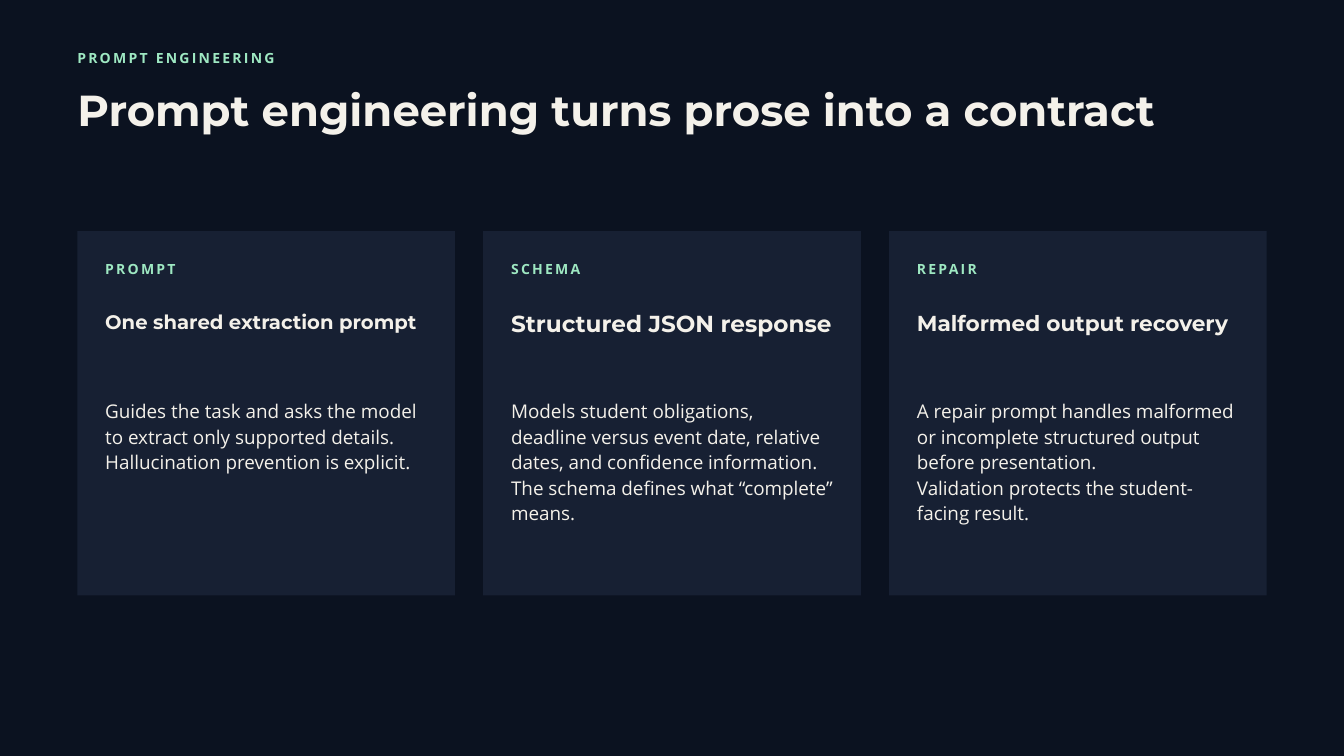
from pptx import Presentation
from pptx.dml.color import RGBColor
from pptx.enum.shapes import MSO_SHAPE
from pptx.enum.text import MSO_ANCHOR, MSO_AUTO_SIZE, PP_ALIGN
from pptx.util import Inches, Pt

BACKGROUND, CARD, MINT, CREAM = "0B1220", "172033", "9EE8C2", "F4F1EA"
HEADING_FONT, BODY_FONT = "Montserrat", "Open Sans"

# Label, heading, heading size, heading line spacing, heading top, paragraphs
CARDS = [
    ("PROMPT", "One shared extraction prompt", 21, 29.4, 1.11,
     ["Guides the task and asks the model to extract only supported details.",
      "Hallucination prevention is explicit."]),
    ("SCHEMA", "Structured JSON response", 24.8, 34.6, 1.1,
     ["Models student obligations, deadline versus event date, relative dates, "
      "and confidence information.",
      "The schema defines what “complete” means."]),
    ("REPAIR", "Malformed output recovery", 23.2, 32.5, 1.1,
     ["A repair prompt handles malformed or incomplete structured output "
      "before presentation.",
      "Validation protects the student-facing result."]),
]


def color(value):
    return RGBColor.from_string(value)


def set_text(shape, lines, font, size, line_spacing, fill, bold=False, tracking=None):
    tf = shape.text_frame
    tf.margin_left = tf.margin_top = tf.margin_right = tf.margin_bottom = 0
    tf.word_wrap = True
    tf.auto_size = MSO_AUTO_SIZE.NONE
    tf.vertical_anchor = MSO_ANCHOR.TOP
    for i, line in enumerate(lines):
        p = tf.paragraphs[0] if i == 0 else tf.add_paragraph()
        p.alignment = PP_ALIGN.LEFT
        p.line_spacing = Pt(line_spacing)
        p.font.name = font
        p.font.size = Pt(size)
        p.font.bold = bold
        p.font.color.rgb = color(fill)
        r = p.add_run()
        r.text = line
        if tracking:
            r._r.get_or_add_rPr().set("spc", str(round(tracking * 100)))


def add_text(shapes, left, top, width, height, lines, *style, **options):
    box = shapes.add_textbox(Inches(left), Inches(top), Inches(width), Inches(height))
    set_text(box, lines, *style, **options)


def add_label(shapes, left, top, width, text):
    add_text(shapes, left, top, width, 0.28, [text], BODY_FONT, 15, 21, MINT,
             bold=True, tracking=2.4)


def add_header(s, left, top, width):
    add_label(s.shapes, left, top, width, "PROMPT ENGINEERING")
    title = s.shapes.title
    title.left, title.top = Inches(left), Inches(top + 0.61)
    title.width, title.height = Inches(width), Inches(0.7)
    set_text(title, ["Prompt engineering turns prose into a contract"],
             HEADING_FONT, 46.5, 50.2, CREAM, bold=True)


def add_card(s, left, top, width, height, card):
    label, heading, size, spacing, heading_top, body = card
    shapes = s.shapes.add_group_shape().shapes
    # Panel
    panel = shapes.add_shape(MSO_SHAPE.RECTANGLE, Inches(left), Inches(top),
                             Inches(width), Inches(height))
    panel.shadow.inherit = False
    panel.fill.solid()
    panel.fill.fore_color.rgb = color(CARD)
    panel.line.fill.background()
    # Label, heading and body share one inner column
    x, w = left + 0.415, width - 0.83
    add_label(shapes, x, top + 0.39, w, label)
    add_text(shapes, x, top + heading_top, w, 0.45, [heading],
             HEADING_FONT, size, spacing, CREAM, bold=True)
    add_text(shapes, x, top + 2.47, w, 1.86, body, BODY_FONT, 20.2, 27.3, CREAM)


def main():
    prs = Presentation()
    prs.slide_width, prs.slide_height = Inches(20), Inches(11.25)
    s = prs.slides.add_slide(prs.slide_layouts[5])
    s.background.fill.solid()
    s.background.fill.fore_color.rgb = color(BACKGROUND)

    margin, gap, card_width = 1.15, 0.42, 5.62
    add_header(s, margin, 0.7, 16.67)
    for i, card in enumerate(CARDS):
        add_card(s, margin + i * (card_width + gap), 3.44, card_width, 5.42, card)

    prs.save("out.pptx")


if __name__ == "__main__":
    main()
